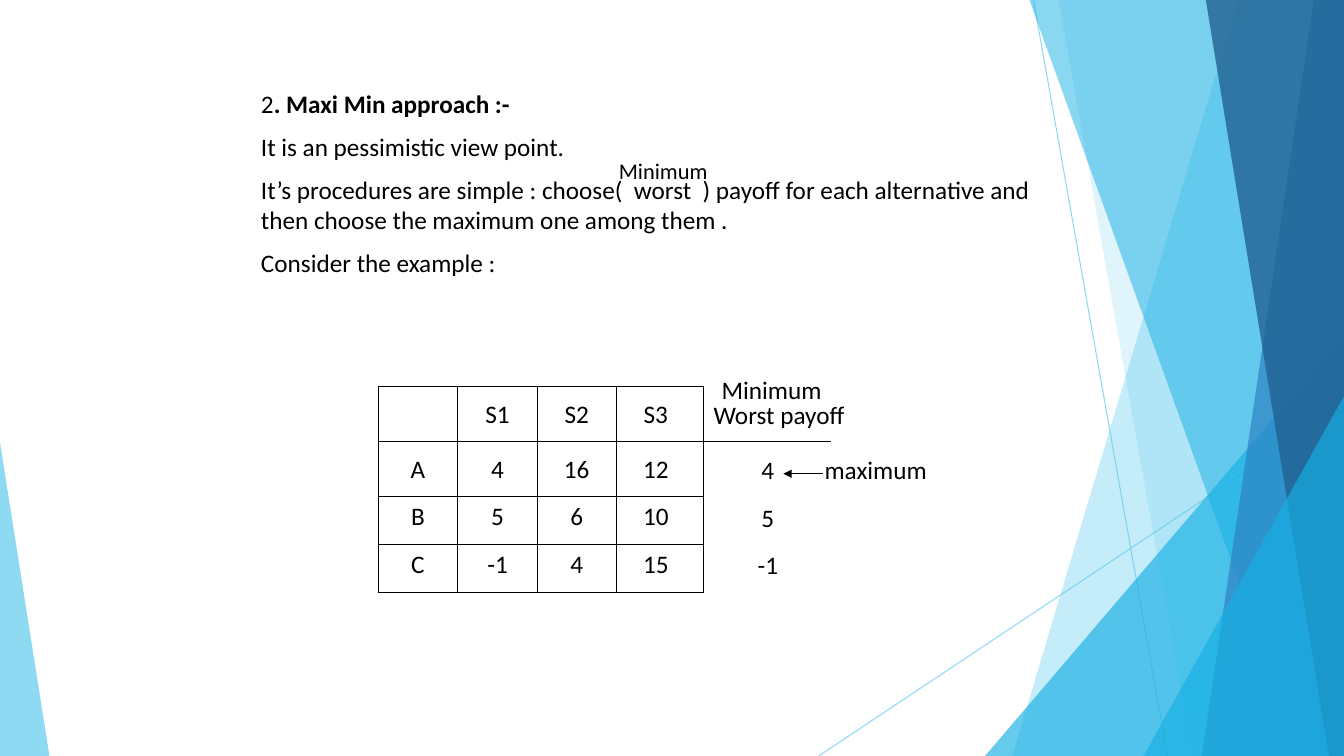
from itertools import accumulate

from lxml import etree
from pptx import Presentation
from pptx import util as u
from pptx.dml.color import RGBColor
from pptx.enum import shapes, text
from pptx.oxml.ns import qn

WIDTH, HEIGHT = 13.33, 7.5
FONT = "Calibri"
COLORS = {"ink": "000000", "sky": "5FCBEF", "cyan": "17B0E4",
          "blue": "2E83C3", "navy": "226292"}

# Start, end, colour, opacity in percent
RAYS = [((10.25, 0), (11.58, HEIGHT), "sky", 70),
        ((WIDTH, 4.03), (8.12, HEIGHT), "sky", 70)]

# Slabs: left x at the top, left x at the bottom; all reach the right edge.
# Triangles: left, top, width, apex position; all stand on the bottom edge.
FACETS = [
    ("slab", (12.28, 10.04), "sky", 36),
    ("slab", (10.5, 11.83), "sky", 20),
    ("triangle", (9.77, 3.33, 3.56, 1), "cyan", 66),
    ("slab", (10.21, 12.91), "cyan", 50),
    ("slab", (13.03, 11.92), "blue", 70),
    ("slab", (11.96, 13.18), "navy", 80),
    ("triangle", (11.34, 3.93, 1.99, 1), "cyan", 66),
    ("triangle", (0, 4.39, 0.49, 0), "sky", 70),
]

# Paragraphs as lists of (words, bold)
INTRO = [
    [("2", False), (". Maxi Min approach :-", True)],
    [("It is an pessimistic view point.", False)],
    [("It’s procedures are simple : choose(  worst  ) payoff for each "
      "alternative and then choose the maximum one among them .", False)],
    [("Consider the example :", False)],
]
PAYOFFS = [["", "S1", "S2", "S3"],
           ["A", "4", "16", "12"],
           ["B", "5", "6", "10"],
           ["C", "-1", "4", "15"]]
WORST = ["4", "5", "-1"]

TABLE_LEFT, TABLE_TOP = 3.75, 3.83
COLUMN_WIDTHS = [0.79, 0.79, 0.78, 0.87]
ROW_HEIGHTS = [0.55, 0.55, 0.47, 0.48]
TOP_MARGINS = [0.13, 0.13, 0.05, 0.05]
LABEL_HEIGHT = 0.4

# Words, left, top, width, size
LABELS = [("Minimum", 6.04, 1.51, 1.5, 16),
          ("Worst payoff", 6.98, 3.91, 2.76, 18),
          ("maximum", 8.08, 4.46, 2.68, 18),
          ("Minimum", 7.06, 3.66, 1.5, 18)]


def set_color(fill, color, opacity=100):
    fill.solid()
    fill.fore_color.rgb = RGBColor.from_string(COLORS[color])
    if opacity < 100:
        clr = fill._xPr.find(qn("a:solidFill"))[0]
        etree.SubElement(clr, qn("a:alpha"), val=str(opacity * 1000))


def add_line(page, start, end, color="ink", opacity=100, arrow=False):
    points = [u.Inches(v) for v in (*start, *end)]
    line = page.shapes.add_connector(shapes.MSO_CONNECTOR.STRAIGHT, *points)
    line.line.width = u.Pt(0.75)
    set_color(line.line.fill, color, opacity)
    if arrow:
        etree.SubElement(line.line._get_or_add_ln(), qn("a:tailEnd"), type="triangle")
    etree.SubElement(line._element.spPr, qn("a:effectLst"))


def add_facet(page, kind, place, color, opacity):
    if kind == "slab":
        top_x, bottom_x = place
        corners = [(top_x, 0), (WIDTH, 0), (WIDTH, HEIGHT), (bottom_x, HEIGHT)]
        first, *rest = [(u.Inches(x), u.Inches(y)) for x, y in corners]
        outline = page.shapes.build_freeform(*first)
        outline.add_line_segments(rest, close=True)
        facet = outline.convert_to_shape()
    else:
        left, top, width, apex = place
        box = [u.Inches(v) for v in (left, top, width, HEIGHT - top)]
        facet = page.shapes.add_shape(shapes.MSO_SHAPE.ISOSCELES_TRIANGLE, *box)
        facet.adjustments[0] = apex
    facet.shadow.inherit = False
    facet.line.fill.background()
    set_color(facet.fill, color, opacity)


def write(frame, paragraphs, size=18, align=text.PP_ALIGN.LEFT):
    frame.word_wrap = True
    for index, spans in enumerate(paragraphs):
        para = frame.paragraphs[0] if index == 0 else frame.add_paragraph()
        para.alignment = align
        if index:
            para.space_before = u.Pt(9)
        for words, bold in spans:
            span = para.add_run()
            span.text = words
            look = {"name": FONT, "size": u.Pt(size), "bold": bold}
            for key, value in look.items():
                setattr(span.font, key, value)
            span.font.color.rgb = RGBColor.from_string(COLORS["ink"])


def add_text(page, paragraphs, left, top, width, height=LABEL_HEIGHT, **look):
    box = page.shapes.add_textbox(*[u.Inches(v) for v in (left, top, width, height)])
    write(box.text_frame, paragraphs, **look)


def add_borders(cell):
    props = cell._tc.get_or_add_tcPr()
    for place, side in enumerate(("lnL", "lnR", "lnT", "lnB")):
        border = etree.Element(qn(f"a:{side}"), w=str(u.Pt(0.75)))
        fill = etree.SubElement(border, qn("a:solidFill"))
        etree.SubElement(fill, qn("a:srgbClr"), val=COLORS["ink"])
        props.insert(place, border)


def add_payoff_table(page):
    place = (TABLE_LEFT, TABLE_TOP, sum(COLUMN_WIDTHS), sum(ROW_HEIGHTS))
    table = page.shapes.add_table(len(PAYOFFS), len(PAYOFFS[0]),
                                  *[u.Inches(v) for v in place]).table
    table.first_row = table.horz_banding = False
    for column, width in zip(table.columns, COLUMN_WIDTHS):
        column.width = u.Inches(width)
    for r, row in enumerate(PAYOFFS):
        table.rows[r].height = u.Inches(ROW_HEIGHTS[r])
        for c, value in enumerate(row):
            cell = table.cell(r, c)
            cell.fill.background()
            cell.margin_top = u.Inches(TOP_MARGINS[r])
            # The wider last column keeps its values on the common column pitch
            cell.margin_right = u.Inches(0.1 + COLUMN_WIDTHS[c] - min(COLUMN_WIDTHS[c], 0.79))
            write(cell.text_frame, [[(value, False)]] if value else [],
                  align=text.PP_ALIGN.CENTER)
            add_borders(cell)


def main():
    deck = Presentation()
    deck.slide_width, deck.slide_height = u.Inches(WIDTH), u.Inches(HEIGHT)
    page = deck.slides.add_slide(deck.slide_layouts[6])

    for ray in RAYS:
        add_line(page, *ray)
    for facet in FACETS:
        add_facet(page, *facet)

    add_text(page, INTRO, 2.49, 0.83, 7.95, 2.07)
    add_payoff_table(page)
    for words, left, top, width, size in LABELS:
        add_text(page, [[(words, False)]], left, top, width, size=size)

    row_tops = list(accumulate(ROW_HEIGHTS, initial=TABLE_TOP))
    for value, top, margin in zip(WORST, row_tops[1:], TOP_MARGINS[1:]):
        add_text(page, [[(value, False)]], 7.22, top + margin - 0.05, 0.79,
                 align=text.PP_ALIGN.CENTER)

    table_right = TABLE_LEFT + sum(COLUMN_WIDTHS)
    add_line(page, (table_right, row_tops[1]), (8.24, row_tops[1]))
    add_line(page, (8.16, 4.7), (7.77, 4.7), arrow=True)
    deck.save("out.pptx")


if __name__ == "__main__":
    main()
